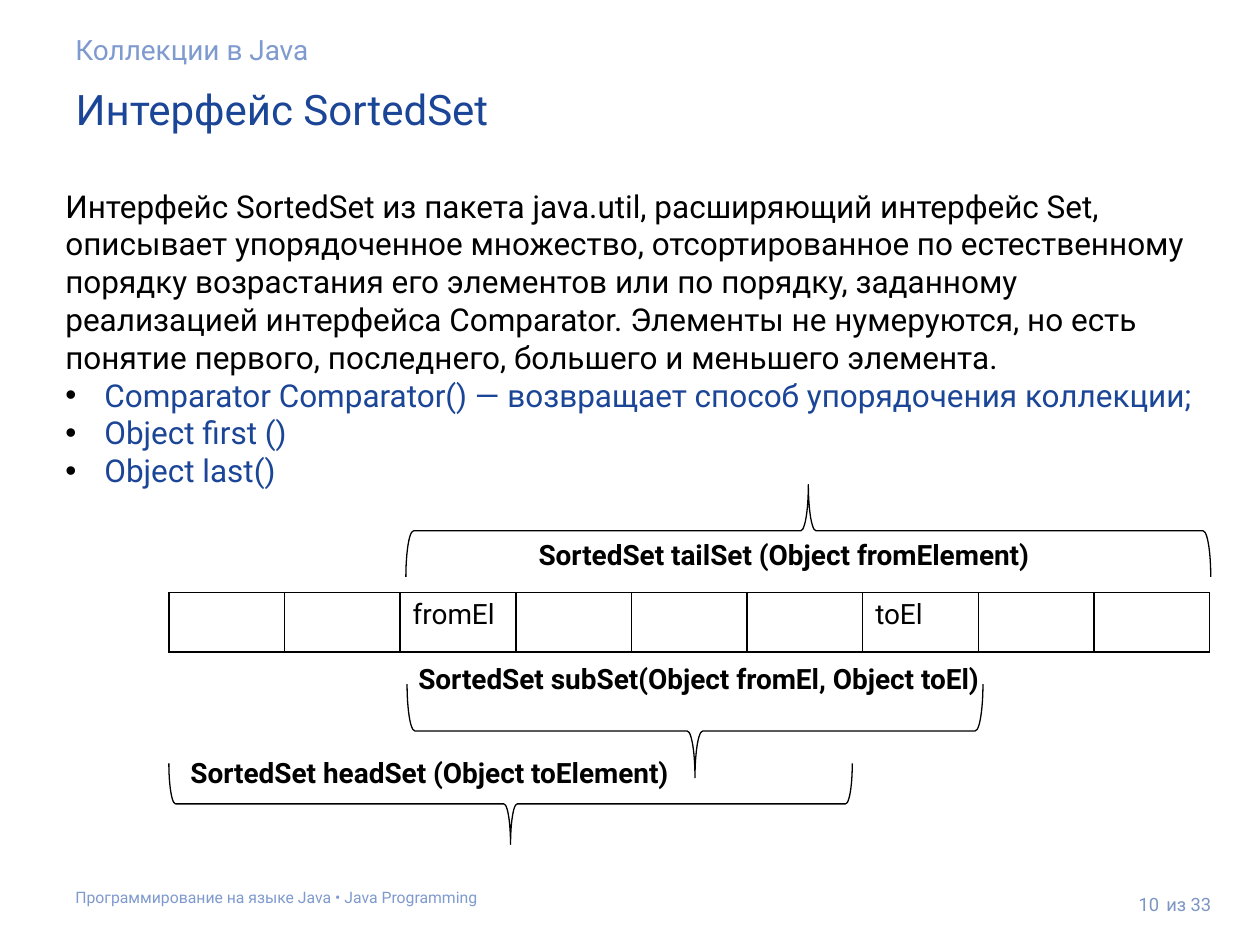
from dataclasses import dataclass

from pptx import Presentation
from pptx.dml.color import RGBColor
from pptx.enum.shapes import MSO_SHAPE
from pptx.enum.text import MSO_ANCHOR, MSO_AUTO_SIZE, PP_ALIGN
from pptx.oxml import parse_xml
from pptx.oxml.ns import nsdecls
from pptx.util import Inches, Pt


@dataclass(frozen=True)
class Theme:
    """Fonts, colours and type sizes of the slide."""
    font: str = "Roboto"
    blue: str = "1B4597"
    pale: str = "7F9ACF"
    number: str = "7D95C4"
    ink: str = "000000"
    title: float = 24
    body: float = 18
    label: float = 16
    page: float = 10.5
    footer: float = 9


@dataclass(frozen=True)
class Box:
    """A rectangle that can be cut into smaller ones."""
    left: float
    top: float
    width: float
    height: float

    def share(self, left, top, width, height):
        """Return a part given as shares of this box."""
        return Box(self.left + left * self.width, self.top + top * self.height,
                   width * self.width, height * self.height)

    def cells(self, column, row, columns, rows, count):
        """Return a part given in columns and rows of a one-row grid."""
        return self.share(column / count, row, columns / count, rows)

    def lengths(self):
        """Return position and size as lengths."""
        return [Inches(value) for value in (self.left, self.top, self.width, self.height)]


THEME = Theme()
PAGE = Box(0, 0, 10, 7.5)
INSET = 0.1
COLUMNS = 9


def style(paragraph, size, color, bold=False):
    """Format every run of a paragraph."""
    for run in paragraph.runs:
        run.font.name = THEME.font
        run.font.size = Pt(size)
        run.font.bold = bold
        run.font.color.rgb = RGBColor.from_string(color)


def prepare_frame(shape, inset=0.05, anchor=MSO_ANCHOR.TOP):
    """Set wrapping, margins and anchor of a text frame."""
    frame = shape.text_frame
    frame.word_wrap = True
    frame.auto_size = MSO_AUTO_SIZE.NONE
    frame.margin_left = frame.margin_right = Inches(INSET)
    frame.margin_top = frame.margin_bottom = Inches(inset)
    frame.vertical_anchor = anchor
    return frame


def add_text(slide, box, text, size, color, bold=False, inset=0.05,
             anchor=MSO_ANCHOR.TOP, align=PP_ALIGN.LEFT):
    """Add a text box with one paragraph."""
    frame = prepare_frame(slide.shapes.add_textbox(*box.lengths()), inset, anchor)
    frame.text = text
    paragraph = frame.paragraphs[0]
    paragraph.alignment = align
    style(paragraph, size, color, bold)
    return frame


def add_header(slide, box):
    """Place the section name and the slide title."""
    title = slide.shapes.title
    title.left, title.top, title.width, title.height = box.share(0, 0.4, 1, 0.6).lengths()
    frame = prepare_frame(title, INSET)
    frame.text = "Интерфейс SortedSet"
    frame.paragraphs[0].alignment = PP_ALIGN.LEFT
    style(frame.paragraphs[0], THEME.title, THEME.blue)
    add_text(slide, box.share(0, 0, 1, 0.46), "Коллекции в Java",
             THEME.label, THEME.pale, inset=INSET)


def add_footer(slide, box):
    """Place the course name and the page count."""
    add_text(slide, box.share(0, 0.09, 0.86, 0.61),
             "Программирование на языке Java • Java Programming",
             THEME.footer, THEME.pale, inset=INSET)
    add_text(slide, box.share(0.926, 0.14, 0.074, 0.7), "из 33",
             THEME.page, THEME.number, anchor=MSO_ANCHOR.MIDDLE)
    add_text(slide, box.share(0.877, 0, 0.064, 1), "10", THEME.page, THEME.number,
             inset=INSET, anchor=MSO_ANCHOR.MIDDLE, align=PP_ALIGN.RIGHT)


def add_bullet(paragraph):
    """Give a paragraph a hanging black bullet."""
    properties = paragraph._p.get_or_add_pPr()
    properties.set("marL", str(Inches(0.31)))
    properties.set("indent", str(-Inches(0.31)))
    properties.append(parse_xml(
        f'<a:buClr {nsdecls("a")}><a:srgbClr val="{THEME.ink}"/></a:buClr>'))
    properties.append(parse_xml(f'<a:buFont {nsdecls("a")} typeface="Arial"/>'))
    properties.append(parse_xml(f'<a:buChar {nsdecls("a")} char="•"/>'))


def add_body(slide, box):
    """Place the description and the list of methods."""
    description = (
        "Интерфейс SortedSet из пакета java.util, расширяющий интерфейс Set, "
        "описывает упорядоченное множество, отсортированное по естественному "
        "порядку возрастания его элементов или по порядку, заданному "
        "реализацией интерфейса Comparator. Элементы не нумеруются, но есть "
        "понятие первого, последнего, большего и меньшего элемента.")
    methods = ("Comparator Comparator() — возвращает способ упорядочения коллекции;",
               "Object first ()", "Object last()")
    frame = add_text(slide, box, description, THEME.body, THEME.ink)
    for method in methods:
        paragraph = frame.add_paragraph()
        paragraph.text = method
        style(paragraph, THEME.body, THEME.blue)
        add_bullet(paragraph)


def add_borders(cell):
    """Draw a thin line on each side of a cell."""
    properties = cell._tc.get_or_add_tcPr()
    for index, side in enumerate(("lnL", "lnR", "lnT", "lnB")):
        properties.insert(index, parse_xml(
            f'<a:{side} {nsdecls("a")} w="{Pt(1)}"><a:solidFill>'
            f'<a:srgbClr val="{THEME.ink}"/></a:solidFill></a:{side}>'))


def add_elements(slide, box):
    """Place the row of set elements as a table."""
    table = slide.shapes.add_table(1, COLUMNS, *box.lengths()).table
    table.first_row = table.horz_banding = False
    names = {2: "fromEl", 6: "toEl"}
    for index, column in enumerate(table.columns):
        column.width = Inches(box.width / COLUMNS)
        cell = table.cell(0, index)
        cell.fill.background()
        add_borders(cell)
        if index in names:
            cell.text = names[index]
            style(cell.text_frame.paragraphs[0], THEME.label, THEME.ink)


def add_brace(slide, box, rotation):
    """Add a horizontal brace that fills the box after its rotation."""
    upright = Box(box.left + (box.width - box.height) / 2,
                  box.top + (box.height - box.width) / 2, box.height, box.width)
    brace = slide.shapes.add_shape(MSO_SHAPE.LEFT_BRACE, *upright.lengths())
    brace.rotation = rotation
    brace.adjustments[0] = 0.083
    brace.shadow.inherit = False
    brace.fill.background()
    brace.line.color.rgb = RGBColor.from_string(THEME.ink)
    brace.line.width = Pt(0.75)


def add_diagram(slide, box):
    """Place the element row with a brace and label for each subset."""
    add_elements(slide, box)
    subsets = (
        ("SortedSet tailSet (Object fromElement)", (3.09, -1.02), (2.05, -1.81, 6.96, 1.55), 90),
        ("SortedSet subSet(Object fromEl, Object toEl)", (2.05, 1.06), (2.06, 1.54, 4.98, 1.57), 270),
        ("SortedSet headSet (Object toElement)", (0.08, 2.64), (0, 2.87, 5.91, 1.36), 270),
    )
    for text, label, brace, rotation in subsets:
        add_brace(slide, box.cells(*brace, COLUMNS), rotation)
        add_text(slide, box.cells(*label, 5.45, 0.79, COLUMNS), text,
                 THEME.label, THEME.ink, bold=True)


def main():
    """Build and save the slide."""
    presentation = Presentation()
    presentation.slide_width, presentation.slide_height = PAGE.lengths()[2:]
    slide = presentation.slides.add_slide(presentation.slide_layouts[5])
    add_header(slide, PAGE.share(0.05, 0.021, 0.919, 0.136))
    add_body(slide, PAGE.share(0.042, 0.191, 0.928, 0.377))
    add_diagram(slide, PAGE.share(0.134, 0.627, 0.826, 0.063))
    add_footer(slide, PAGE.share(0.05, 0.919, 0.935, 0.076))
    presentation.save("out.pptx")


if __name__ == "__main__":
    main()
